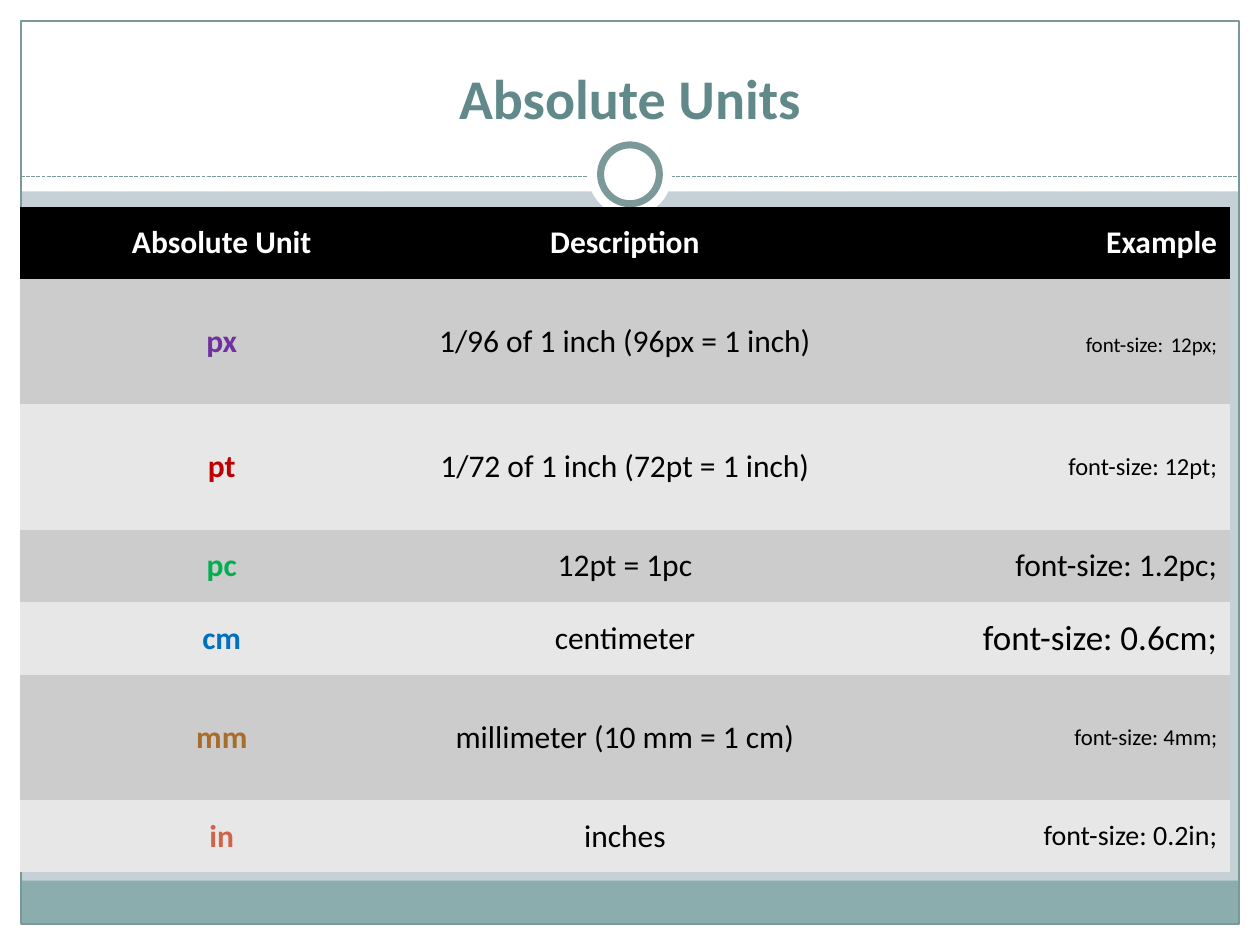
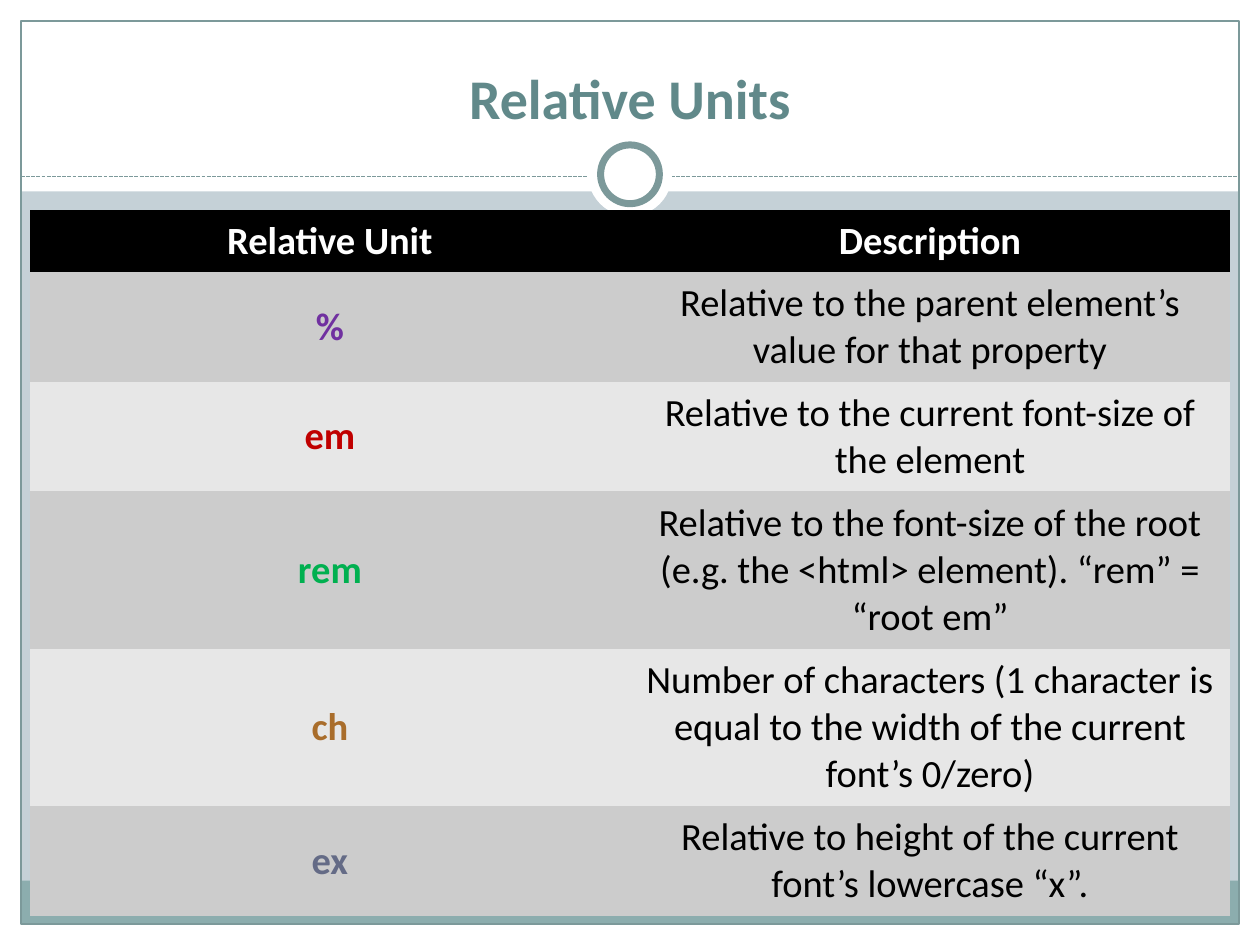
from dataclasses import dataclass
from typing import NamedTuple, Optional

from pptx import Presentation
from pptx.dml.color import RGBColor as RGB
from pptx.enum.dml import MSO_LINE
from pptx.enum.shapes import MSO_CONNECTOR as CONN, MSO_SHAPE as SHAPE
from pptx.enum.text import MSO_ANCHOR as ANCHOR, PP_ALIGN as ALIGN
from pptx.oxml.ns import qn
from pptx.oxml.xmlchemy import OxmlElement
from pptx.util import Inches, Pt

WIDTH, HEIGHT = Inches(10), Inches(7.5)
COLS, ROWS = 60, 45
FONT = "Calibri"
PLAIN_TABLE = "{2D5ABB26-0587-4C30-8999-92F81FD0307C}"

COLORS = {
    "backdrop": "C5D1D7", "white": "FFFFFF", "black": "000000",
    "footer": "8CADAE", "outline": "7C999A", "title": "61898A",
    "odd": "CCCCCC", "even": "E7E7E7",
    "purple": "7030A0", "red": "C00000", "green": "00B050",
    "blue": "0070C0", "brown": "A96D2B", "coral": "D16349", "slate": "646B86",
}


class Box(NamedTuple):
    col: float
    row: float
    cols: float
    rows: float


@dataclass
class Part:
    box: Box
    fill: Optional[str] = None
    line: Optional[float] = None
    kind: SHAPE = SHAPE.RECTANGLE


class Run(NamedTuple):
    text: str
    size: float


class Unit(NamedTuple):
    name: str
    color: str
    description: str
    example: tuple[Run, ...] = ()


@dataclass
class UnitTable:
    title: str
    left: float
    top: float
    col_width: float
    size: float
    headers: list[str]
    heights: list[float]
    units: list[Unit]


FRAME = [
    Part(Box(0, 44, COLS, 1), "white"),
    Part(Box(0, 0, COLS, 9.12), "white"),
    Part(Box(0, 0, 1, ROWS), "white"),
    Part(Box(59, 0, 1, ROWS), "white"),
    Part(Box(1, 41.94, 58, 2.06), "footer"),
    Part(Box(1, 1, 58, 43), line=0.75),
]
RING = [
    Part(Box(28, 6.3, 4, 4), "white", kind=SHAPE.OVAL),
    Part(Box(28.6, 6.9, 2.8, 2.8), "white", 4, SHAPE.OVAL),
]
TITLE_BOX = Box(2, 1.5, 56, 5)
RULE_ROW = 8.4

SHORT, TALL = 3.45, 5.97
HEAD, TWO_LINES, THREE_LINES = 2.96, 5.22, 7.5

TABLES = [
    UnitTable(
        "Absolute Units", 0.96, 9.84, 19.2, 18,
        ["Absolute Unit", "Description", "Example"],
        [SHORT, TALL, TALL, SHORT, SHORT, TALL, SHORT],
        [
            Unit("px", "purple", "1/96 of 1 inch (96px = 1 inch)",
                 (Run("font-size:", 12), Run(" ", 18), Run("12px;", 12))),
            Unit("pt", "red", "1/72 of 1 inch (72pt = 1 inch)",
                 (Run("font-size: 12pt;", 14),)),
            Unit("pc", "green", "12pt = 1pc", (Run("font-size: 1.2pc;", 18),)),
            Unit("cm", "blue", "centimeter", (Run("font-size: 0.6cm;", 20),)),
            Unit("mm", "brown", "millimeter (10 mm = 1 cm)",
                 (Run("font-size: 4mm;", 13),)),
            Unit("in", "coral", "inches", (Run("font-size: 0.2in;", 16),)),
        ],
    ),
    UnitTable(
        "Relative Units", 1.42, 10, 28.58, 22,
        ["Relative Unit", "Description"],
        [HEAD, TWO_LINES, TWO_LINES, THREE_LINES, THREE_LINES, TWO_LINES],
        [
            Unit("%", "purple",
                 "Relative to the parent element’s value for that property"),
            Unit("em", "red", "Relative to the current font-size of the element"),
            Unit("rem", "green",
                 "Relative to the font-size of the root (e.g. the <html> element). "
                 "“rem” = “root em”"),
            Unit("ch", "brown",
                 "Number of characters (1 character is equal to the width of the "
                 "current font’s 0/zero)"),
            Unit("ex", "slate",
                 "Relative to height of the current font’s lowercase “x”."),
        ],
    ),
]


def rgb(name: str) -> RGB:
    return RGB.from_string(COLORS[name])


def x(cols: float) -> int:
    return round(WIDTH * cols / COLS)


def y(rows: float) -> int:
    return round(HEIGHT * rows / ROWS)


def place(box: Box) -> tuple[int, int, int, int]:
    return x(box.col), y(box.row), x(box.cols), y(box.rows)


def add_part(s, part: Part) -> None:
    sp = s.shapes.add_shape(part.kind, *place(part.box))
    sp.shadow.inherit = False
    if part.fill:
        sp.fill.solid()
        sp.fill.fore_color.rgb = rgb(part.fill)
    else:
        sp.fill.background()
    if part.line:
        sp.line.color.rgb = rgb("outline")
        sp.line.width = Pt(part.line)
    else:
        sp.line.fill.background()


def add_rule(s) -> None:
    rule = s.shapes.add_connector(CONN.STRAIGHT, x(1), y(RULE_ROW), x(59), y(RULE_ROW))
    rule.line.color.rgb = rgb("outline")
    rule.line.width = Pt(0.75)
    rule.line.dash_style = MSO_LINE.SQUARE_DOT
    rule._element.spPr.append(OxmlElement("a:effectLst"))


def write(tf, runs: tuple[Run, ...], color: str, bold: bool,
          align: ALIGN = ALIGN.CENTER) -> None:
    p = tf.paragraphs[0]
    p.alignment = align
    for text, size in runs:
        r = p.add_run()
        r.text = text
        r.font.name = FONT
        r.font.size = Pt(size)
        r.font.bold = bold
        r.font.color.rgb = rgb(color)


def add_title(s, title: str) -> None:
    tf = s.shapes.add_textbox(*place(TITLE_BOX)).text_frame
    tf.word_wrap = True
    tf.vertical_anchor = ANCHOR.BOTTOM
    write(tf, (Run(title, 32),), "title", True)


def add_unit_table(s, spec: UnitTable) -> None:
    n_cols = len(spec.headers)
    box = Box(spec.left, spec.top, n_cols * spec.col_width, sum(spec.heights))
    table = s.shapes.add_table(len(spec.heights), n_cols, *place(box)).table
    table._tbl.tblPr.find(qn("a:tableStyleId")).text = PLAIN_TABLE
    table.horz_banding = False
    for column in table.columns:
        column.width = x(spec.col_width)
    for row, height in zip(table.rows, spec.heights):
        row.height = y(height)

    header = [((Run(text, spec.size),), "white", True) for text in spec.headers]
    body = [
        [((Run(unit.name, spec.size),), unit.color, True),
         ((Run(unit.description, spec.size),), "black", False),
         (unit.example, "black", False)][:n_cols]
        for unit in spec.units
    ]
    for i, entries in enumerate([header, *body]):
        fill = "black" if i == 0 else "odd" if i % 2 else "even"
        for j, (runs, color, bold) in enumerate(entries):
            cell = table.cell(i, j)
            cell.vertical_anchor = ANCHOR.MIDDLE
            cell.fill.solid()
            cell.fill.fore_color.rgb = rgb(fill)
            align = ALIGN.RIGHT if j == 2 else ALIGN.CENTER
            write(cell.text_frame, runs, color, bold, align)


def add_unit_slide(prs, spec: UnitTable) -> None:
    s = prs.slides.add_slide(prs.slide_layouts[6])
    s.background.fill.solid()
    s.background.fill.fore_color.rgb = rgb("backdrop")
    for part in FRAME:
        add_part(s, part)
    add_rule(s)
    for part in RING:
        add_part(s, part)
    add_title(s, spec.title)
    add_unit_table(s, spec)


def main() -> None:
    prs = Presentation()
    prs.slide_width, prs.slide_height = WIDTH, HEIGHT
    for spec in TABLES:
        add_unit_slide(prs, spec)
    prs.save("out.pptx")


if __name__ == "__main__":
    main()
